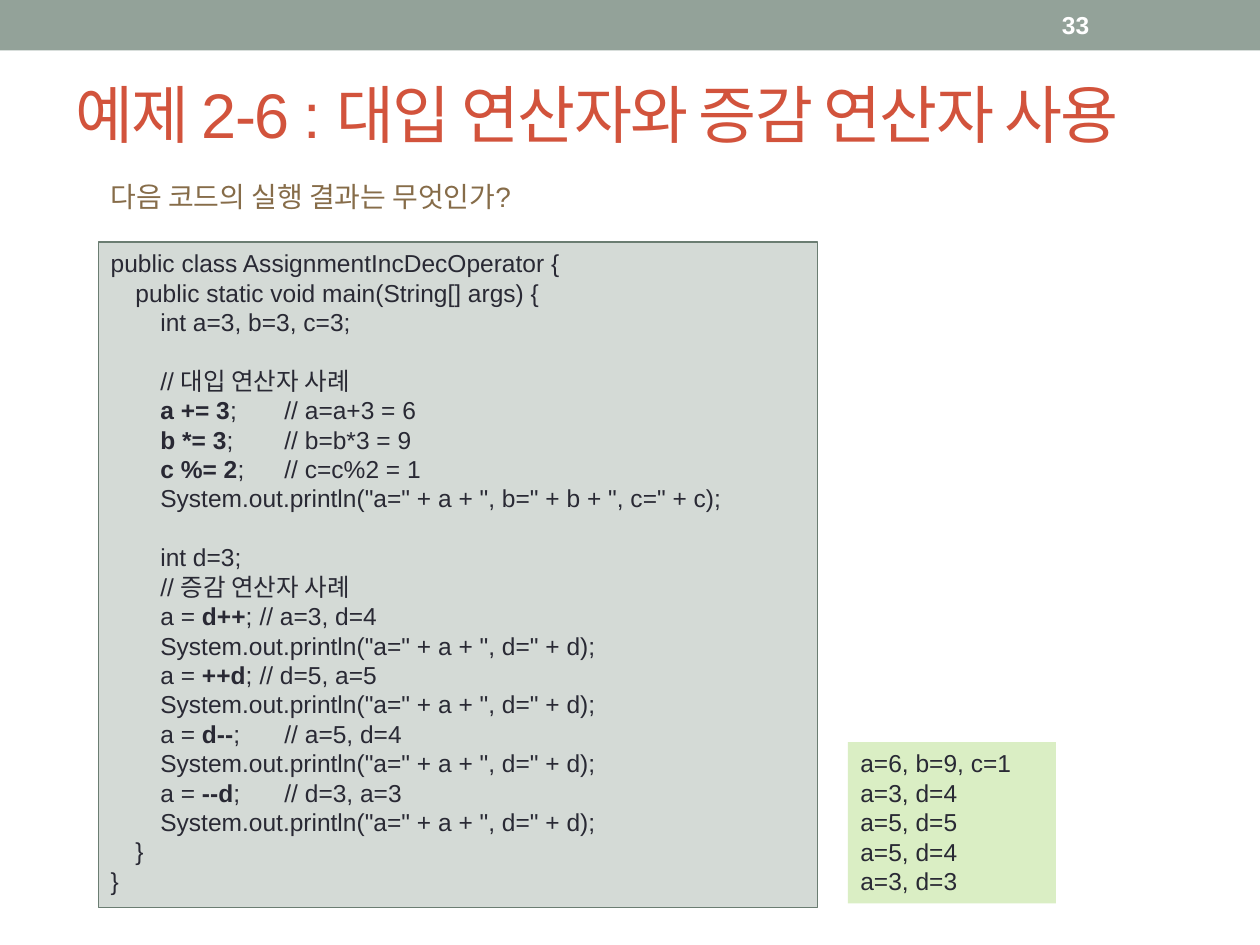
from lxml import etree
from pptx import Presentation
from pptx.dml.color import RGBColor
from pptx.enum.shapes import MSO_SHAPE
from pptx.enum.text import MSO_ANCHOR, PP_ALIGN
from pptx.oxml.ns import qn
from pptx.util import Inches, Pt

RECT = MSO_SHAPE.RECTANGLE
TOP, MIDDLE = MSO_ANCHOR.TOP, MSO_ANCHOR.MIDDLE
LEFT = PP_ALIGN.LEFT
FONT = "Arial"
COLORS = {
    "band": "93A299", "title": "D2533C", "ask": "866C49", "ink": "292934",
    "code": "D4DAD6", "edge": "6B7D72", "result": "DAEEC4", "white": "FFFFFF",
}

prs = Presentation()
prs.slide_width, prs.slide_height = Inches(10), Inches(7.5)
slide = prs.slides.add_slide(prs.slide_layouts[6])


def add_box(at, fill=None, edge=None):
    """Add a filled rectangle, or a text box when there is no fill."""
    area = [Inches(v) for v in at]
    if fill is None:
        return slide.shapes.add_textbox(*area)
    box = slide.shapes.add_shape(RECT, *area)
    box.shadow.inherit = False
    box.fill.solid()
    box.fill.fore_color.rgb = RGBColor.from_string(COLORS[fill])
    if edge:
        box.line.color.rgb = RGBColor.from_string(COLORS[edge])
        box.line.width = Pt(0.75)
    else:
        box.line.fill.background()
    return box


def write(box, lines, size, color, anchor=TOP, wrap=True):
    """Write one paragraph a line; text between bars is bold."""
    frame = box.text_frame
    frame.word_wrap = wrap
    frame.vertical_anchor = anchor
    for i, line in enumerate(lines):
        para = frame.paragraphs[0] if i == 0 else frame.add_paragraph()
        para.alignment = LEFT
        for j, part in enumerate(line.split("|")):
            if not part:
                continue
            run = para.add_run()
            run.text = part
            run.font.name = FONT
            run.font.size = Pt(size)
            run.font.bold = j % 2 == 1
            run.font.color.rgb = RGBColor.from_string(COLORS[color])
    return frame.paragraphs


# Top band
add_box((0, 0, 10, 0.4), "band")

# Title, with slightly tight letters
title = write(add_box((0.5, 0.36, 9.5, 1.08)),
              ["예제 2-6 : 대입 연산자와 증감 연산자 사용"], 36, "title", MIDDLE)
title[0].runs[0].font._element.set("spc", "-100")

# Code listing
show = '\t\tSystem.out.println("a=" + a + ", d=" + d);'
code = [
    "public class AssignmentIncDecOperator {",
    "\tpublic static void main(String[] args) {",
    "\t\tint a=3, b=3, c=3;",
    "\t\t// 대입 연산자 사례",
    "\t\t|a += 3|; \t\t// a=a+3 = 6",
    "\t\t|b *= 3|; \t\t// b=b*3 = 9",
    "\t\t|c %= 2|; \t\t// c=c%2 = 1",
    '\t\tSystem.out.println("a=" + a + ", b=" + b + ", c=" + c);',
    "\t\tint d=3;",
    "\t\t// 증감 연산자 사례",
    "\t\ta = |d++|; \t// a=3, d=4", show,
    "\t\ta = |++d|; \t// d=5, a=5", show,
    "\t\ta = |d--|; \t\t// a=5, d=4", show,
    "\t\ta = |--d|; \t\t// d=3, a=3", show,
    "\t}",
    "}",
]
paras = write(add_box((0.78, 1.92, 5.71, 5.28), "code", "edge"),
              code, 14, "ink")

# Gaps before the two code sections
for i in (3, 8):
    paras[i].space_before = Pt(16.8)

# Even tab stops for the code
step = Inches(0.2) * 0.985
for para in paras:
    tabs = etree.SubElement(para._p.get_or_add_pPr(), qn("a:tabLst"))
    for n in range(1, 9):
        etree.SubElement(tabs, qn("a:tab"), pos=str(round(n * step)), algn="l")

# Question
write(add_box((0.78, 1.38, 3.76, 0.37)),
      ["다음 코드의 실행 결과는 무엇인가?"], 16, "ask", wrap=False)

# Program output
write(add_box((6.73, 5.89, 1.65, 1.28), "result"),
      ["a=6, b=9, c=1", "a=3, d=4", "a=5, d=5", "a=5, d=4", "a=3, d=3"],
      14, "ink")

# Page number
write(add_box((8.33, 0.02, 1.17, 0.36)), ["|33|"], 14, "white", MIDDLE)

prs.save("out.pptx")
